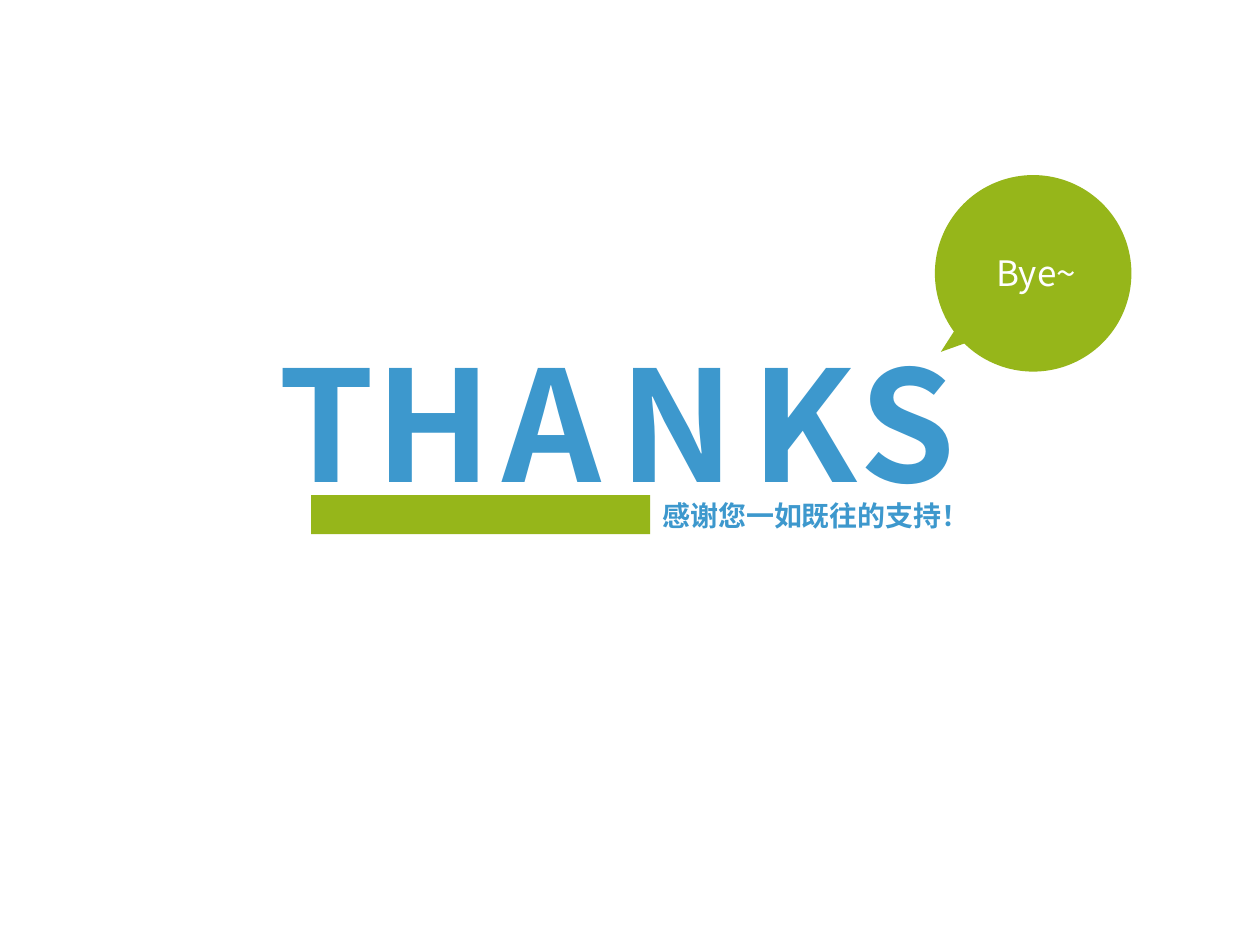
from lxml import etree
from pptx import Presentation
from pptx.dml.color import RGBColor
from pptx.enum.shapes import MSO_SHAPE
from pptx.enum.text import MSO_AUTO_SIZE
from pptx.oxml.ns import qn
from pptx.util import Inches, Pt

BLUE = RGBColor(0x3D, 0x98, 0xCD)
GREEN = RGBColor(0x96, 0xB6, 0x1A)
WHITE = RGBColor(0xFF, 0xFF, 0xFF)
FONT = "Noto Sans CJK SC"
OVAL = MSO_SHAPE.OVAL
TAIL = MSO_SHAPE.ISOSCELES_TRIANGLE
RECT = MSO_SHAPE.RECTANGLE
GROW = MSO_AUTO_SIZE.SHAPE_TO_FIT_TEXT

deck = Presentation()
deck.slide_width = Inches(10)
deck.slide_height = Inches(7.5)
COL = deck.slide_width / 100
ROW = deck.slide_height / 100
slide = deck.slides.add_slide(deck.slide_layouts[6])


def add_form(owner, kind, x, y, w, h):
    form = owner.add_shape(kind, int(x * COL), int(y * ROW), int(w * COL), int(h * ROW))
    form.shadow.inherit = False
    form.fill.solid()
    form.fill.fore_color.rgb = GREEN
    form.line.fill.background()
    return form


def add_words(owner, words, x, y, w, h, size, color, bold=False, wrap=False):
    box = owner.add_textbox(int(x * COL), int(y * ROW), int(w * COL), int(h * ROW))
    frame = box.text_frame
    frame.text = words
    frame.word_wrap = wrap
    frame.auto_size = GROW
    font = frame.paragraphs[0].runs[0].font
    font.size = Pt(size)
    font.bold = bold
    font.color.rgb = color
    font.name = FONT
    east = etree.SubElement(font._element, qn("a:ea"))
    east.set("typeface", FONT)


letters = [
    ("T", 21.1, 9.7),
    ("H", 28.8, 12.2),
    ("A", 38.9, 11.3),
    ("N", 48.2, 12.5),
    ("K", 58.7, 10.6),
    ("S", 67.2, 9.4),
]
for letter, x, w in letters:
    add_words(slide.shapes, letter, x, 34.13, w, 21.07, 88, BLUE, bold=True)

bubble = slide.shapes.add_group_shape().shapes
add_form(bubble, OVAL, 74.2, 18.53, 15.6, 20.8)
tail = add_form(bubble, TAIL, 74.8, 34.53, 1.7, 3.33)
tail.rotation = 231.5
add_words(bubble, "Bye~", 78.1, 26, 9.4, 5.87, 20, WHITE, wrap=True)

add_form(slide.shapes, RECT, 24.7, 52.4, 26.9, 4.13)
add_words(slide.shapes, "感谢您一如既往的支持！", 51.6, 52.13, 26.7, 4.93, 16, BLUE, bold=True)

deck.save("out.pptx")
